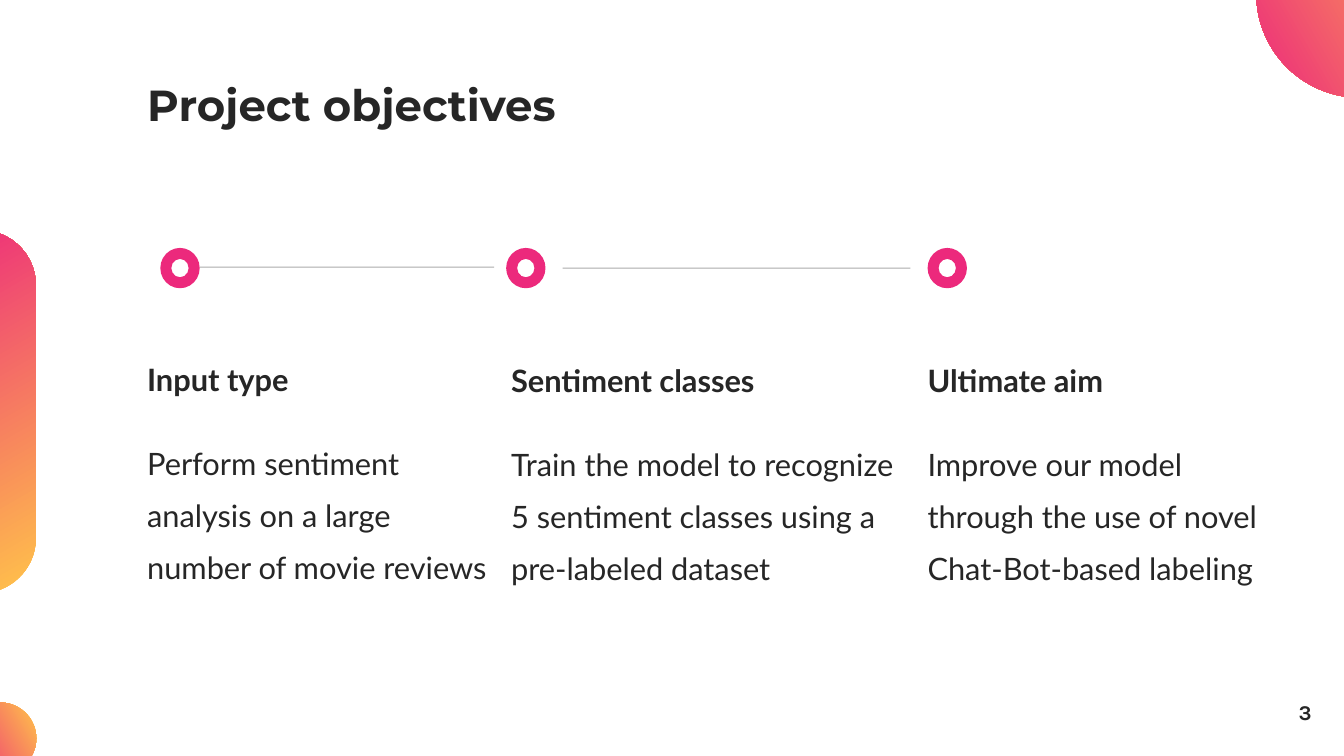
from dataclasses import dataclass

from lxml import etree
from pptx import Presentation
from pptx import util as u
from pptx.dml.color import RGBColor
from pptx.enum import shapes, text
from pptx.oxml.ns import qn

PX = 9144  # 100 px to the inch


@dataclass(frozen=True)
class Theme:
    ink: str = "262626"
    pink: str = "EC297C"
    amber: str = "FFC34A"
    title_font: str = "Montserrat"
    body_font: str = "Lato"
    number_font: str = "Karla"
    title_size: int = 31
    body_size: int = 22
    number_size: int = 15
    gradient_angle: int = 210
    line_width: float = 0.75
    line_alpha: int = 38000


class Page:
    def __init__(self, deck, theme):
        self.theme = theme
        self.slide = deck.slides.add_slide(deck.slide_layouts[6])

    def text(self, words, area, font, size, bold=False, **layout):
        box = self.slide.shapes.add_textbox(*(n * PX for n in area))
        frame = box.text_frame
        frame_format = dict(
            word_wrap=True, margin_left=0, margin_top=0, margin_right=0, margin_bottom=0,
            auto_size=layout.get("fit", text.MSO_AUTO_SIZE.NONE),
            vertical_anchor=layout.get("anchor", text.MSO_ANCHOR.TOP))
        for name, value in frame_format.items():
            setattr(frame, name, value)
        para = frame.paragraphs[0]
        para.alignment = layout.get("align", text.PP_ALIGN.LEFT)
        para.line_spacing = layout.get("spacing", 1.0)
        span = para.add_run()
        span.text = words
        for name, value in dict(name=font, size=u.Pt(size), bold=bold).items():
            setattr(span.font, name, value)
        span.font.color.rgb = RGBColor.from_string(self.theme.ink)

    def shape(self, kind, area):
        item = self.slide.shapes.add_shape(kind, *(n * PX for n in area))
        item.shadow.inherit = False
        item.line.fill.background()
        return item

    def ring(self, left, top):
        ring = self.shape(shapes.MSO_SHAPE.DONUT, (left, top, 39, 40))
        ring.adjustments[0] = 0.28
        ring.fill.solid()
        ring.fill.fore_color.rgb = RGBColor.from_string(self.theme.pink)

    def decoration(self, kind, area, rotation=0):
        item = self.shape(kind, area)
        item.rotation = rotation
        item.fill.gradient()
        item.fill.gradient_angle = self.theme.gradient_angle
        for stop, color in zip(item.fill.gradient_stops, (self.theme.amber, self.theme.pink)):
            stop.color.rgb = RGBColor.from_string(color)
        return item

    def line(self, start, end, y):
        line = self.slide.shapes.add_connector(
            shapes.MSO_CONNECTOR.STRAIGHT, start * PX, y * PX, end * PX, y * PX)
        line.line.width = u.Pt(self.theme.line_width)
        line.line.color.rgb = RGBColor.from_string(self.theme.ink)
        properties = line._element.spPr
        color = properties.find(".//" + qn("a:srgbClr"))
        etree.SubElement(color, qn("a:alpha"), val=str(self.theme.line_alpha))
        etree.SubElement(properties, qn("a:effectLst"))


def main():
    deck = Presentation()
    deck.slide_width, deck.slide_height = u.Inches(13.33), u.Inches(7.5)
    theme = Theme()
    page = Page(deck, theme)

    # Timeline
    for start, end, y in ((198, 490, 265), (558, 903, 266)):
        page.line(start, end, y)
    for left in (159, 502, 920):
        page.ring(left, 246)

    # Objectives: left, top, width, heading, description
    objectives = (
        (146, 343, 344, "Input type",
         "Perform sentiment analysis on a large number of movie reviews"),
        (507, 344, 384, "Sentiment classes",
         "Train the model to recognize 5 sentiment classes using a pre-labeled dataset"),
        (920, 344, 344, "Ultimate aim",
         "Improve our model through the use of novel Chat-Bot-based labeling"),
    )
    body = dict(font=theme.body_font, size=theme.body_size, spacing=1.4,
                fit=text.MSO_AUTO_SIZE.SHAPE_TO_FIT_TEXT)
    for left, top, width, heading, description in objectives:
        page.text(heading, (left, top, width, 37), bold=True, **body)
        page.text(description, (left, top + 84, width, 141), **body)

    # Title and page number
    page.text("Project objectives", (146, 83, 945, 105), theme.title_font,
              theme.title_size, bold=True, spacing=0.9)
    page.text("3", (1221, 693, 80, 27), theme.number_font, theme.number_size, bold=True,
              align=text.PP_ALIGN.RIGHT, anchor=text.MSO_ANCHOR.MIDDLE)

    # Edge decorations
    page.decoration(shapes.MSO_SHAPE.OVAL, (1246, -110, 207, 207))
    page.decoration(shapes.MSO_SHAPE.OVAL, (-35, 697, 71, 71))
    pill = page.decoration(shapes.MSO_SHAPE.ROUNDED_RECTANGLE, (-199, 354, 360, 109), rotation=90)
    pill.adjustments[0] = 0.5

    deck.save("out.pptx")


if __name__ == "__main__":
    main()
